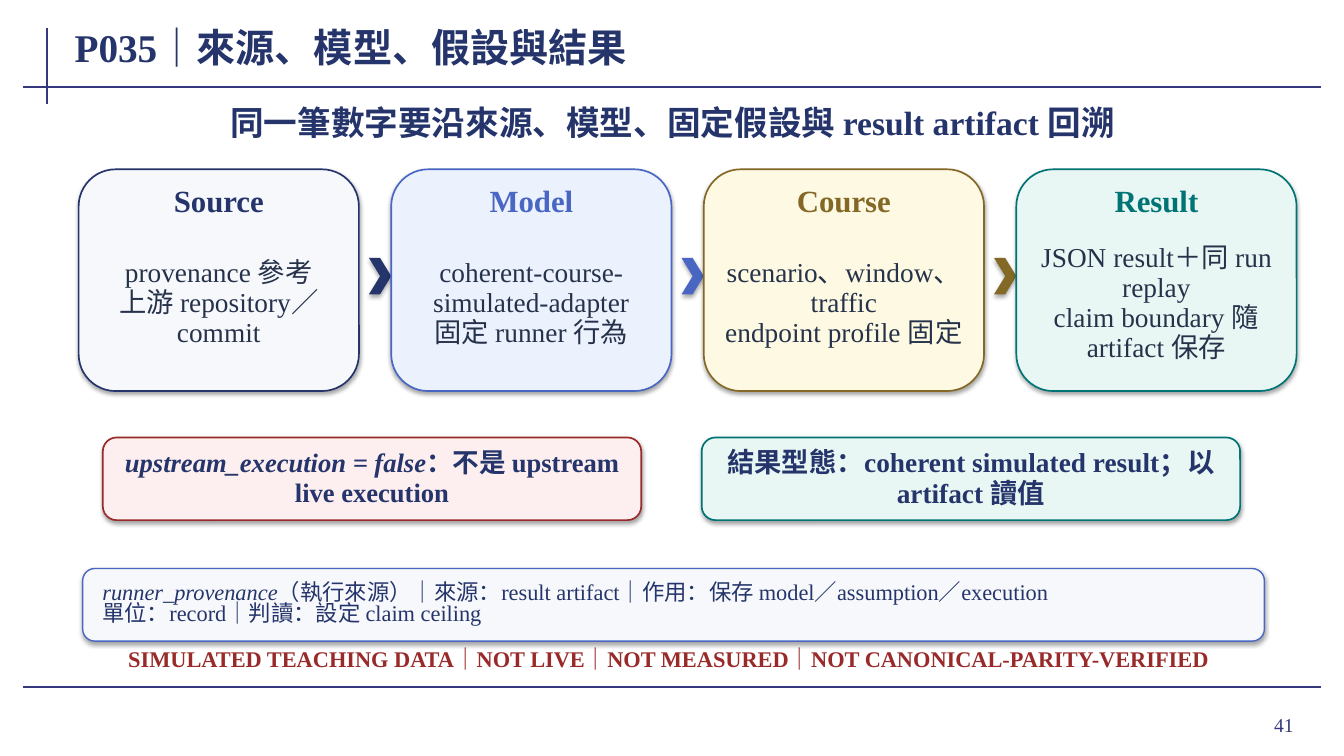
from dataclasses import dataclass

from lxml.etree import SubElement
from pptx import Presentation
from pptx.dml.color import RGBColor
from pptx.enum.shapes import MSO_CONNECTOR as Connector, MSO_SHAPE as Preset
from pptx.enum.text import MSO_ANCHOR as Anchor, MSO_AUTO_SIZE as AutoSize, PP_ALIGN as Align
from pptx.oxml.ns import qn
from pptx.util import Pt


@dataclass(frozen=True)
class Theme:
    font: str = "Times New Roman"
    rule: str = "35377F"
    navy: str = "25356B"
    ink: str = "25324A"
    blue: str = "4967C2"
    gold: str = "846826"
    teal: str = "007374"
    red: str = "992A2A"
    pale: str = "F7F8FC"
    pale_blue: str = "ECF1FE"
    pale_gold: str = "FDF9E2"
    pale_teal: str = "E8F7F4"
    pale_red: str = "FDEFEF"
    title: float = 28
    subtitle: float = 24
    heading: float = 22
    body: float = 19.5
    claim: float = 19
    note: float = 16
    page: float = 14


THEME = Theme()
PX = 9144  # 100 px to the inch

TITLE = "P035｜來源、模型、假設與結果"
SUBTITLE = "同一筆數字要沿來源、模型、固定假設與 result artifact 回溯"
STAGES = [
    ("Source", ["provenance 參考", "上游 repository／commit"], THEME.navy, THEME.pale),
    ("Model", ["coherent-course-simulated-adapter", "固定 runner 行為"], THEME.blue, THEME.pale_blue),
    ("Course", ["scenario、window、traffic", "endpoint profile 固定"], THEME.gold, THEME.pale_gold),
    ("Result", ["JSON result＋同 run replay", "claim boundary 隨 artifact 保存"], THEME.teal, THEME.pale_teal),
]
# A paragraph given as a pair has an italic first part.
CLAIMS = [
    (("upstream_execution = false", "：不是 upstream live execution"), THEME.claim, THEME.red, THEME.pale_red),
    ("結果型態：coherent simulated result；以 artifact 讀值", THEME.body, THEME.teal, THEME.pale_teal),
]
NOTE = [
    ("runner_provenance", "（執行來源）｜來源：result artifact｜作用：保存 model／assumption／execution"),
    "單位：record｜判讀：設定 claim ceiling",
]
WARNING = "SIMULATED TEACHING DATA｜NOT LIVE｜NOT MEASURED｜NOT CANONICAL-PARITY-VERIFIED"
PAGE = "41"
RULES = [(47, 28, 47, 103), (23, 86, 1310, 86), (23, 682, 1310, 682)]

CARD_LEFT, CARD_TOP, CARD_WIDTH, CARD_HEIGHT, CARD_PITCH = 78, 168, 278, 220, 310
CLAIM_LEFT, CLAIM_TOP, CLAIM_WIDTH, CLAIM_HEIGHT, CLAIM_PITCH = 102, 434, 534, 82, 594


def emu(*lengths):
    return [length * PX for length in lengths]


def write(shape, paragraphs, size, color, bold=False, align=Align.CENTER,
          insets=(2, 1), spacing=None, auto_size=AutoSize.NONE):
    """Fill a shape with text; insets are horizontal and vertical px."""
    frame = shape.text_frame
    frame.word_wrap = True
    frame.auto_size = auto_size
    frame.vertical_anchor = Anchor.MIDDLE
    frame.margin_left = frame.margin_right = insets[0] * PX
    frame.margin_top = frame.margin_bottom = insets[1] * PX
    for index, parts in enumerate(paragraphs):
        paragraph = frame.add_paragraph() if index else frame.paragraphs[0]
        paragraph.alignment = align
        if spacing:
            paragraph.line_spacing = spacing
        font = paragraph.font
        font.name, font.size, font.bold = THEME.font, Pt(size), bold
        font.color.rgb = RGBColor.from_string(color)
        if isinstance(parts, str):
            paragraph.add_run().text = parts
        else:
            for position, part in enumerate(parts):
                run = paragraph.add_run()
                run.text = part
                run.font.italic = position == 0


def add_text(slide, box, paragraphs, size, color, auto_size=AutoSize.SHAPE_TO_FIT_TEXT, **options):
    shape = slide.shapes.add_textbox(*emu(*box))
    write(shape, paragraphs, size, color, auto_size=auto_size, **options)


def add_panel(slide, box, fill, line=None, width=1.2, preset=Preset.ROUNDED_RECTANGLE):
    """Add a filled shape that keeps the theme's soft shadow."""
    shape = slide.shapes.add_shape(preset, *emu(*box))
    shape.fill.solid()
    shape.fill.fore_color.rgb = RGBColor.from_string(fill)
    if line:
        shape.line.color.rgb = RGBColor.from_string(line)
        shape.line.width = Pt(width)
    else:
        shape.line.fill.background()
    return shape


def add_rule(slide, ends):
    rule = slide.shapes.add_connector(Connector.STRAIGHT, *emu(*ends))
    rule.line.color.rgb = RGBColor.from_string(THEME.rule)
    rule.line.width = Pt(1.5)
    SubElement(rule._element.spPr, qn("a:effectLst"))


def add_stage(slide, index, stage):
    heading, lines, color, fill = stage
    left = CARD_LEFT + index * CARD_PITCH
    add_panel(slide, (left, CARD_TOP, CARD_WIDTH, CARD_HEIGHT), fill, color)
    add_text(slide, (left + 10, CARD_TOP + 12, CARD_WIDTH - 20, 38), [heading],
             THEME.heading, color, bold=True)
    add_text(slide, (left + 14, CARD_TOP + 58, CARD_WIDTH - 28, 150), lines,
             THEME.body, THEME.ink, spacing=0.92)
    if index < len(STAGES) - 1:
        add_panel(slide, (left + CARD_WIDTH + 10, CARD_TOP + 88, 22, 36), color,
                  preset=Preset.CHEVRON)


def main():
    presentation = Presentation()
    presentation.slide_width, presentation.slide_height = emu(1333, 750)
    slide = presentation.slides.add_slide(presentation.slide_layouts[5])

    for ends in RULES:
        add_rule(slide, ends)
    add_text(slide, (1196, 693, 97, 52), [PAGE], THEME.page, THEME.rule,
             align=Align.RIGHT, insets=(10, 5), auto_size=AutoSize.NONE)

    title = slide.shapes.title
    title.left, title.top, title.width, title.height = emu(72, 20, 1035, 53)
    write(title, [TITLE], THEME.title, THEME.navy, bold=True, align=Align.LEFT, insets=(2, 0))
    add_text(slide, (98, 100, 1138, 42), [SUBTITLE], THEME.subtitle, THEME.navy, bold=True)

    for index, stage in enumerate(STAGES):
        add_stage(slide, index, stage)

    for index, (claim, size, color, fill) in enumerate(CLAIMS):
        left = CLAIM_LEFT + index * CLAIM_PITCH
        panel = add_panel(slide, (left, CLAIM_TOP, CLAIM_WIDTH, CLAIM_HEIGHT), fill, color)
        write(panel, [claim], size, THEME.navy, bold=True, insets=(10, 4), spacing=0.94)

    note = add_panel(slide, (82, 564, 1172, 72), THEME.pale, THEME.blue, width=1)
    write(note, NOTE, THEME.note, THEME.navy, align=Align.LEFT, insets=(16, 2), spacing=0.78)
    add_text(slide, (92, 640, 1142, 26), [WARNING], THEME.note, THEME.red, bold=True, insets=(0, 0))

    presentation.save("out.pptx")


if __name__ == "__main__":
    main()
